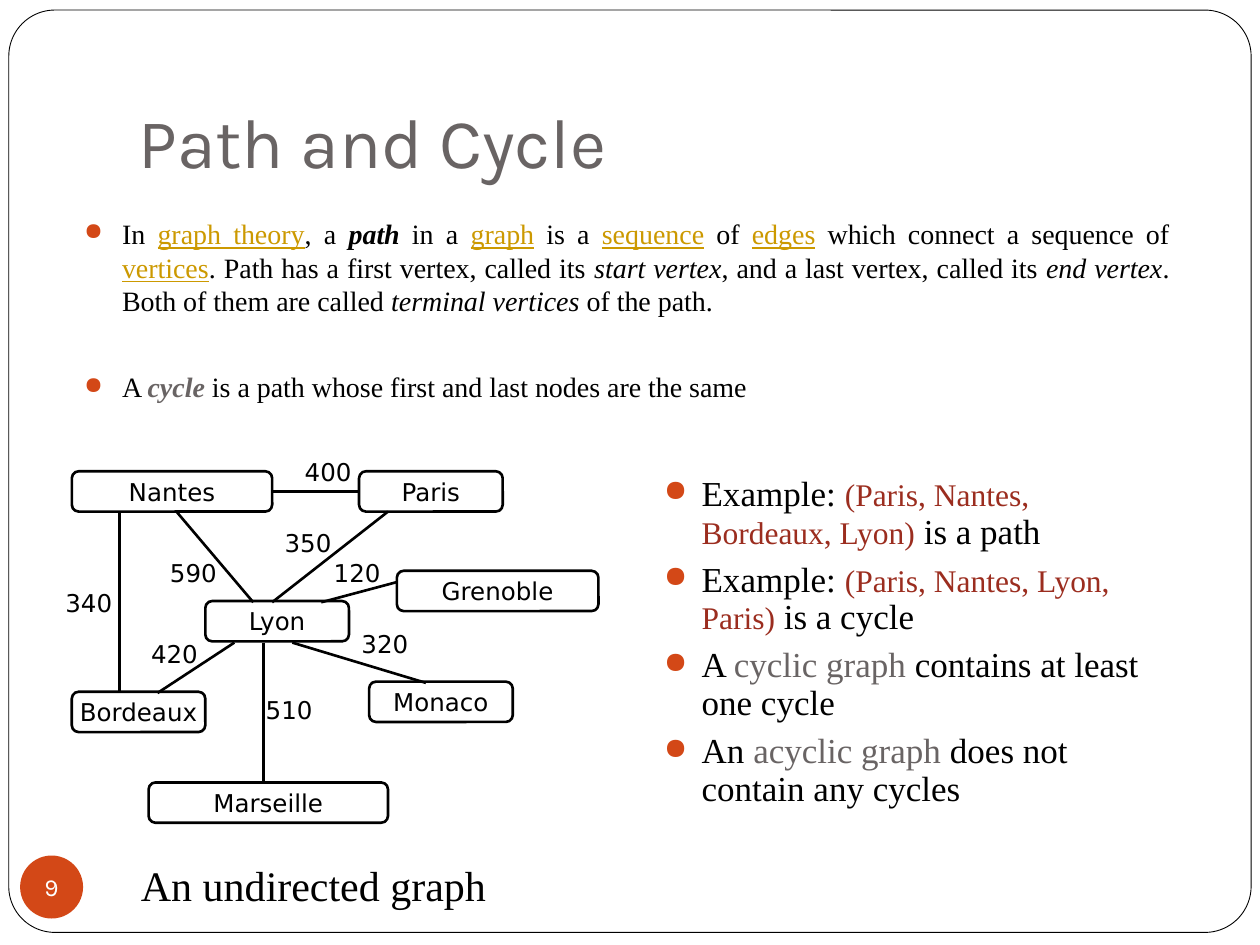
import pptx
import pptx.util
import pptx.dml.color
import pptx.enum.shapes
import pptx.enum.text
import pptx.oxml
import pptx.oxml.ns

Inches, Pt = pptx.util.Inches, pptx.util.Pt
SHAPE = pptx.enum.shapes.MSO_SHAPE
ALIGN = pptx.enum.text.PP_ALIGN
ANCHOR = pptx.enum.text.MSO_ANCHOR

COLORS = {"black": "000000", "white": "FFFFFF", "grey": "696464",
          "accent": "D34817", "link": "CC9900", "example": "9B2D1F"}
SERIF, SANS, HEADING = "Times New Roman", "DejaVu Sans", "Karla"

LINK = {"color": "link", "underline": True}
ITALIC = {"italic": True}
TERM = {"bold": True, "italic": True}
EXAMPLE = {"color": "example", "size": 18}
GREY = {"color": "grey"}

DEFINITIONS = [
    [("In ", {}), ("graph theory", LINK), (", a ", {}), ("path", TERM),
     (" in a ", {}), ("graph", LINK), (" is a ", {}), ("sequence", LINK),
     (" of ", {}), ("edges", LINK), (" which connect a sequence of ", {}),
     ("vertices", LINK), (". Path has a first vertex, called its ", {}),
     ("start vertex", ITALIC), (", and a last vertex, called its ", {}),
     ("end vertex", ITALIC), (". Both of them are called ", {}),
     ("terminal vertices", ITALIC), (" of the path.", {})],
    [("A ", {}), ("cycle", {**TERM, **GREY}),
     (" is a path whose first and last nodes are the same", {})],
]
EXAMPLES = [
    [("Example: ", {}), ("(Paris, Nantes, Bordeaux, Lyon)", EXAMPLE), (" is a path", {})],
    [("Example: ", {}), ("(Paris, Nantes, Lyon, Paris)", EXAMPLE), (" is a cycle", {})],
    [("A ", {}), ("cyclic graph", GREY), (" contains at least one cycle", {})],
    [("An ", {}), ("acyclic graph", GREY), (" does not contain any cycles", {})],
]

# city: left, top, width
CITY_HEIGHT = 0.32
CITIES = {
    "Nantes": (0.57, 3.74, 1.59), "Paris": (2.85, 3.74, 1.14),
    "Lyon": (1.63, 4.77, 1.14), "Grenoble": (3.15, 4.53, 1.6),
    "Bordeaux": (0.57, 5.49, 1.06), "Marseille": (1.18, 6.21, 1.9),
    "Monaco": (2.93, 5.41, 1.14),
}
# distance: start, end, left and top of its label
ROADS = {
    "340": ((0.95, 4.06), (0.95, 5.5), (0.42, 4.62)),
    "590": ((2.01, 4.78), (1.4, 4.06), (1.25, 4.38)),
    "350": ((2.16, 4.78), (3.08, 4.06), (2.16, 4.14)),
    "120": ((2.55, 4.78), (3.15, 4.62), (2.55, 4.38)),
    "320": ((2.32, 5.1), (3.38, 5.42), (2.77, 4.94)),
    "510": ((2.09, 5.1), (2.09, 6.21), (2.01, 5.47)),
    "420": ((1.25, 5.5), (1.86, 5.1), (1.1, 5.02)),
    "400": ((2.16, 3.9), (2.85, 3.9), (2.32, 3.58)),
}


def rgb(name):
    return pptx.dml.color.RGBColor.from_string(COLORS[name])


def add_run(paragraph, text, font, size, color="black", bold=False, italic=False,
            underline=False):
    run = paragraph.add_run()
    run.text = text
    run.font.name, run.font.size = font, Pt(size)
    run.font.color.rgb = rgb(color)
    run.font.bold, run.font.italic, run.font.underline = bold, italic, underline


def add_text(slide, box, text, font, size, color="black", anchor=ANCHOR.TOP):
    frame = slide.shapes.add_textbox(*map(Inches, box)).text_frame
    frame.word_wrap = True
    frame.vertical_anchor = anchor
    add_run(frame.paragraphs[0], text, font, size, color)
    return frame


def add_bullets(slide, box, items, size, gap, align=ALIGN.LEFT, line_spacing=1.0):
    frame = slide.shapes.add_textbox(*map(Inches, box)).text_frame
    frame.word_wrap = True
    for index, runs in enumerate(items):
        paragraph = frame.add_paragraph() if index else frame.paragraphs[0]
        paragraph.alignment = align
        paragraph.line_spacing = line_spacing
        paragraph.space_before = Pt(gap if index else 0)
        properties = paragraph._p.get_or_add_pPr()
        properties.set("marL", str(Inches(0.3)))
        properties.set("indent", str(Inches(-0.3)))
        for xml in (f'<a:buClr %s><a:srgbClr val="{COLORS["accent"]}"/></a:buClr>',
                    '<a:buSzPct %s val="85000"/>', '<a:buChar %s char="●"/>'):
            properties.append(pptx.oxml.parse_xml(xml % pptx.oxml.ns.nsdecls("a")))
        for text, style in runs:
            add_run(paragraph, text, SERIF, **{"size": size, **style})


def add_box(slide, kind, box, fill=None, line=None, corner=None):
    """Add a preset shape; line is a width in points."""
    shape = slide.shapes.add_shape(kind, *map(Inches, box))
    shape.shadow.inherit = False
    if corner is not None:
        shape.adjustments[0] = corner
    if fill:
        shape.fill.solid()
        shape.fill.fore_color.rgb = rgb(fill)
    else:
        shape.fill.background()
    if line:
        shape.line.color.rgb = rgb("black")
        shape.line.width = Pt(line)
    else:
        shape.line.fill.background()
    return shape


def add_caption(shape, text, font, color):
    """Centre one line of text in a shape."""
    frame = shape.text_frame
    frame.word_wrap = False
    frame.vertical_anchor = ANCHOR.MIDDLE
    frame.margin_left = frame.margin_right = frame.margin_top = frame.margin_bottom = 0
    frame.paragraphs[0].alignment = ALIGN.CENTER
    add_run(frame.paragraphs[0], text, font, 14, color)


def add_road(slide, start, end):
    road = slide.shapes.add_connector(pptx.enum.shapes.MSO_CONNECTOR.STRAIGHT,
                                      *map(Inches, start + end))
    road.line.color.rgb = rgb("black")
    road.line.width = Pt(1.5)
    road._element.spPr.append(
        pptx.oxml.parse_xml("<a:effectLst %s/>" % pptx.oxml.ns.nsdecls("a")))


def main():
    presentation = pptx.Presentation()
    presentation.slide_width, presentation.slide_height = Inches(10), Inches(7.5)
    slide = presentation.slides.add_slide(presentation.slide_layouts[6])

    add_box(slide, SHAPE.ROUNDED_RECTANGLE, (0.07, 0.08, 9.86, 7.32), "white", 0.5, 0.05)
    title = add_text(slide, (1, 0.3, 8.5, 1.25), "Path and Cycle", HEADING, 40, "grey",
                     ANCHOR.BOTTOM)
    title.margin_bottom = Inches(0.1)
    add_bullets(slide, (0.57, 1.67, 8.81, 1.77), DEFINITIONS, 16, 30, ALIGN.JUSTIFY)
    add_bullets(slide, (5.17, 3.73, 4.08, 3.27), EXAMPLES, 20, 5.8, line_spacing=0.9)
    page_badge = add_box(slide, SHAPE.OVAL, (0.16, 6.79, 0.5, 0.5), "accent")
    add_caption(page_badge, "9", HEADING, "white")

    for city, place in CITIES.items():
        box = add_box(slide, SHAPE.ROUNDED_RECTANGLE, (*place, CITY_HEIGHT), line=1.5,
                      corner=0.17)
        add_caption(box, city, SANS, "black")
    for distance, (start, end, label) in ROADS.items():
        add_road(slide, start, end)
        add_text(slide, (*label, 0.61, 0.33), distance, SANS, 14)
    add_text(slide, (1.02, 6.77, 3.04, 0.5), "An undirected graph", SERIF, 24)

    presentation.save("out.pptx")


if __name__ == "__main__":
    main()
